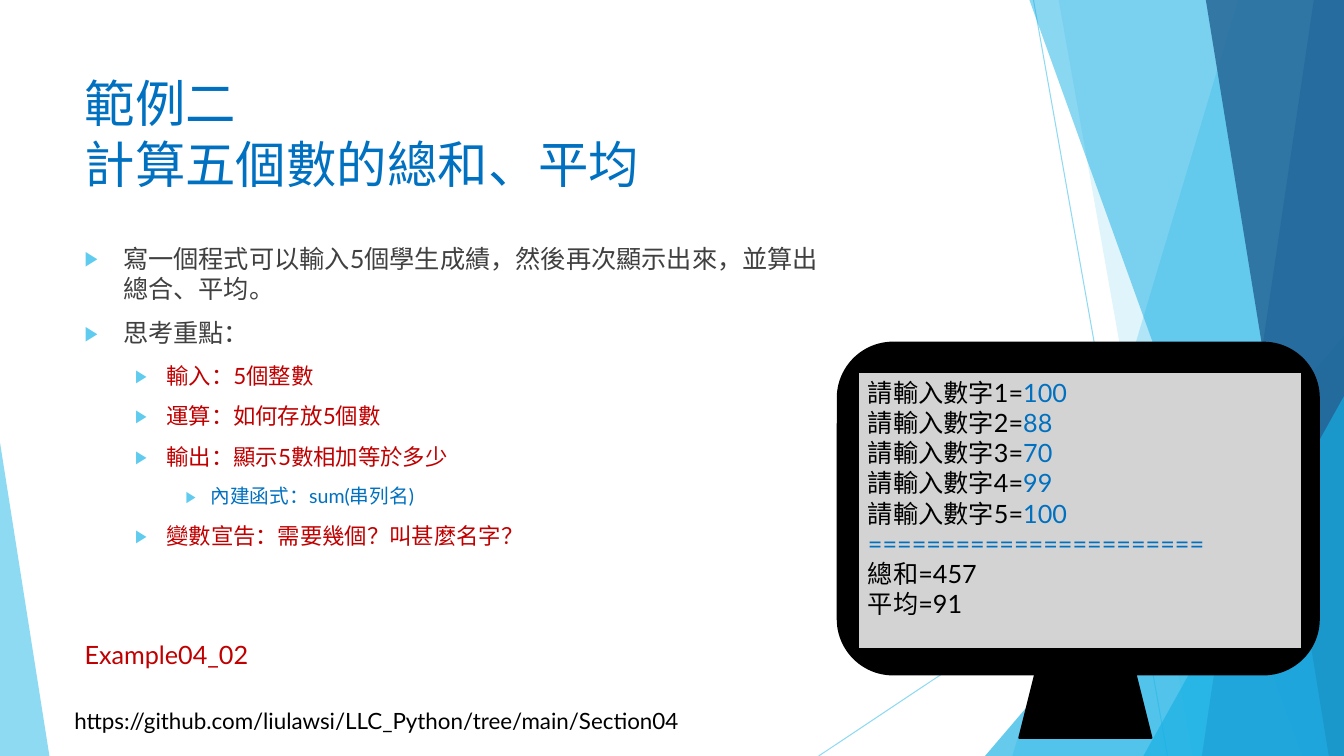
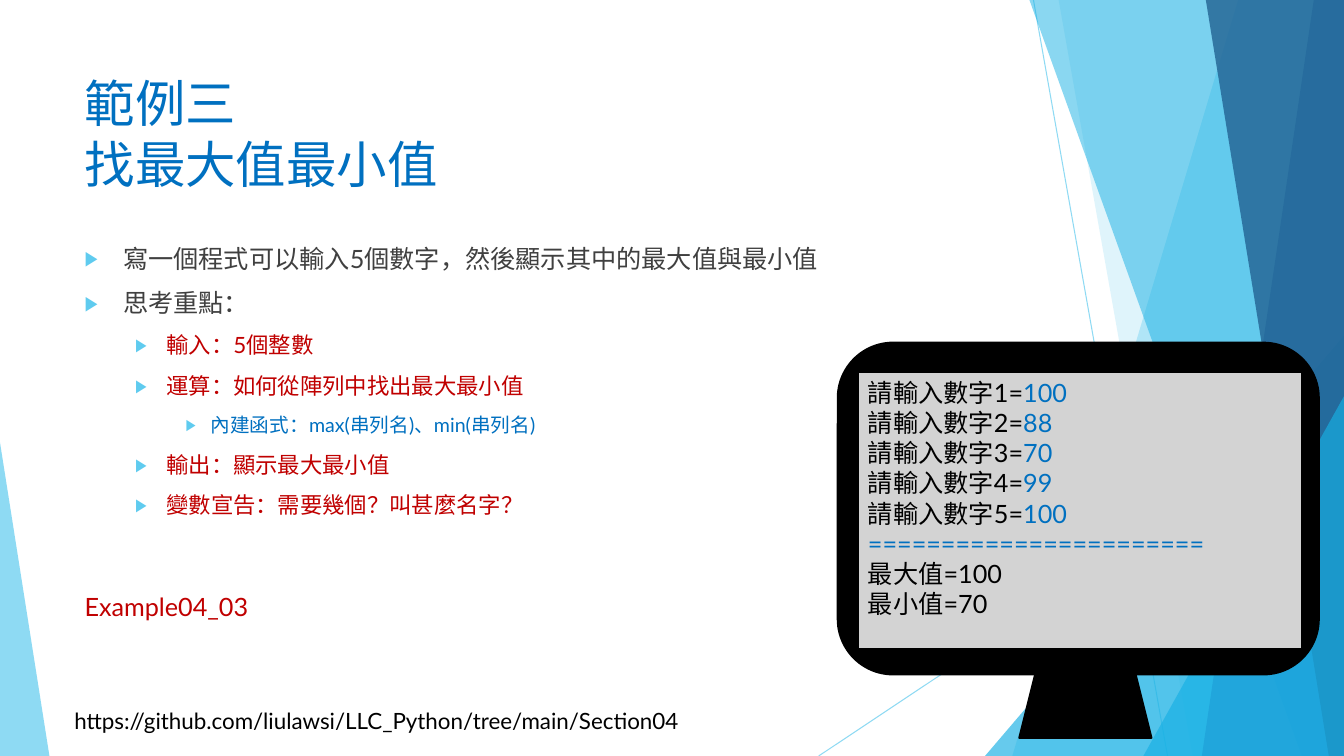
from dataclasses import dataclass

from lxml.etree import SubElement
from pptx import Presentation
from pptx.dml.color import RGBColor as Color
from pptx.enum.shapes import MSO_CONNECTOR as Connector, MSO_SHAPE as Preset
from pptx.enum.text import MSO_ANCHOR as Anchor, MSO_AUTO_SIZE as AutoSize, PP_ALIGN as Align
from pptx.oxml.ns import qn
from pptx.util import Inches, Pt

WIDTH, HEIGHT = 13.33, 7.5
REPOSITORY = "https://github.com/liulawsi/LLC_Python/tree/main/Section04"


@dataclass(frozen=True)
class Theme:
    font: str = "Lato"
    black: str = "000000"
    text: str = "404040"
    blue: str = "0070C0"
    red: str = "C00000"
    screen: str = "D3D3D3"
    sky: str = "5FCBEF"
    cyan: str = "17B0E4"
    steel: str = "2E83C3"
    navy: str = "226292"
    title_size: int = 36
    main_size: int = 18
    link_size: int = 16
    bullet_gap: int = 10

    @property
    def levels(self):
        return (
            (0.38, 0.38, self.main_size, self.text),
            (0.81, 0.31, 16, self.red),
            (1.25, 0.25, 14, self.blue),
        )


class Deck:
    def __init__(self, theme):
        self.theme = theme
        self.presentation = Presentation()
        self.presentation.slide_width = Inches(WIDTH)
        self.presentation.slide_height = Inches(HEIGHT)
        self.slide = None

    def new_slide(self):
        layout = self.presentation.slide_layouts[1]
        self.slide = self.presentation.slides.add_slide(layout)
        self.facets()
        self.label(REPOSITORY, (0.64, 6.97, 7.54, 0.37), self.theme.link_size, self.theme.black)

    def format_run(self, run, size, color):
        run.font.name = self.theme.font
        run.font.size = Pt(size)
        run.font.color.rgb = Color.from_string(color)
        SubElement(run.font._element, qn("a:ea"), typeface=self.theme.font)

    def place(self, shape, box):
        shape.left, shape.top, shape.width, shape.height = map(Inches, box)

    def set_alpha(self, shape, percent):
        for color in shape._element.iter(qn("a:srgbClr")):
            SubElement(color, qn("a:alpha"), val=str(percent * 1000))

    def paint(self, shape, fill, outline=None, alpha=None):
        shape.shadow.inherit = False
        shape.fill.solid()
        shape.fill.fore_color.rgb = Color.from_string(fill)
        if outline:
            shape.line.color.rgb = Color.from_string(outline)
            shape.line.width = Pt(1.5)
        else:
            shape.line.fill.background()
        if alpha:
            self.set_alpha(shape, alpha)

    def hairline(self, group, start, end):
        ends = map(Inches, (*start, *end))
        line = group.shapes.add_connector(Connector.STRAIGHT, *ends)
        line.line.color.rgb = Color.from_string(self.theme.sky)
        line.line.width = Pt(0.75)
        SubElement(line._element.spPr, qn("a:effectLst"))
        self.set_alpha(line, 70)

    def band(self, group, top_left, bottom_left, color, alpha):
        builder = group.shapes.build_freeform(Inches(top_left), 0)
        corners = ((WIDTH, 0), (WIDTH, HEIGHT), (bottom_left, HEIGHT))
        builder.add_line_segments([(Inches(x), Inches(y)) for x, y in corners])
        self.paint(builder.convert_to_shape(), color, alpha=alpha)

    def wedge(self, group, left, top, width, apex, color, alpha):
        box = map(Inches, (left, top, width, HEIGHT - top))
        triangle = group.shapes.add_shape(Preset.ISOSCELES_TRIANGLE, *box)
        triangle.adjustments[0] = apex
        self.paint(triangle, color, alpha=alpha)

    def facets(self):
        theme = self.theme
        group = self.slide.shapes.add_group_shape()
        self.hairline(group, (10.25, 0), (11.58, HEIGHT))
        self.hairline(group, (WIDTH, 4.03), (8.12, HEIGHT))
        self.band(group, 12.28, 10.04, theme.sky, 36)
        self.band(group, 10.5, 11.83, theme.sky, 20)
        self.wedge(group, 9.77, 3.33, 3.56, 1, theme.cyan, 66)
        self.band(group, 10.21, 12.91, theme.cyan, 50)
        self.band(group, 13.03, 11.92, theme.steel, 70)
        self.band(group, 11.96, 13.18, theme.navy, 80)
        self.wedge(group, 11.34, 3.93, 1.99, 1, theme.cyan, 66)
        self.wedge(group, 0, 4.39, 0.49, 0, theme.sky, 70)
        self.slide.shapes._spTree.insert(2, group._element)

    def title(self, text):
        title = self.slide.shapes.title
        self.place(title, (0.74, 0.67, 9.4, 1.44))
        frame = title.text_frame
        frame.auto_size = AutoSize.NONE
        frame.vertical_anchor = Anchor.TOP
        paragraph = frame.paragraphs[0]
        paragraph.text = text
        paragraph.alignment = Align.LEFT
        for run in paragraph.runs:
            self.format_run(run, self.theme.title_size, self.theme.blue)
        for line_break in paragraph._p.findall(qn("a:br")):
            SubElement(line_break, qn("a:rPr"), sz=str(self.theme.title_size * 100))

    def bullet(self, paragraph, margin, hanging):
        properties = paragraph._p.get_or_add_pPr()
        properties.set("marL", str(Inches(margin)))
        properties.set("indent", str(-Inches(hanging)))
        color = SubElement(properties, qn("a:buClr"))
        SubElement(color, qn("a:srgbClr"), val=self.theme.sky)
        SubElement(properties, qn("a:buSzPct"), val="80000")
        SubElement(properties, qn("a:buFont"), typeface=self.theme.font)
        SubElement(properties, qn("a:buChar"), char="▶")

    def body(self, items, width):
        body = self.slide.placeholders[1]
        self.place(body, (0.74, 2.36, width, 4.24))
        frame = body.text_frame
        frame.text = "\n".join(text for _, text in items)
        frame.auto_size = AutoSize.NONE
        frame.vertical_anchor = Anchor.TOP
        for index, (paragraph, (level, _)) in enumerate(zip(frame.paragraphs, items)):
            margin, hanging, size, color = self.theme.levels[level]
            paragraph.level = level
            self.bullet(paragraph, margin, hanging)
            paragraph.space_before = Pt(self.theme.bullet_gap if index else 0)
            self.format_run(paragraph.runs[0], size, color)

    def label(self, text, box, size, color, wrap=True):
        label = self.slide.shapes.add_textbox(*map(Inches, box))
        frame = label.text_frame
        frame.text = text
        frame.word_wrap = wrap
        frame.auto_size = AutoSize.SHAPE_TO_FIT_TEXT
        self.format_run(frame.paragraphs[0].runs[0], size, color)

    def example_name(self, text, top):
        self.label(text, (0.74, top, 1.83, 0.4), self.theme.main_size, self.theme.red, wrap=False)

    def monitor(self, lines):
        theme = self.theme
        group = self.slide.shapes.add_group_shape()
        parts = (
            (Preset.ROUNDED_RECTANGLE, (8.31, 3.4, 4.77, 3.29), theme.black),
            (Preset.TRAPEZOID, (10.11, 6.69, 1.31, 0.63), theme.black),
            (Preset.RECTANGLE, (8.51, 3.69, 4.4, 2.75), theme.screen),
        )
        for preset, box, fill in parts:
            part = group.shapes.add_shape(preset, *map(Inches, box))
            self.paint(part, fill, theme.black)
        frame = part.text_frame
        frame.word_wrap = True
        frame.vertical_anchor = Anchor.TOP
        for index, (prompt, value) in enumerate(lines):
            paragraph = frame.add_paragraph() if index else frame.paragraphs[0]
            paragraph.alignment = Align.LEFT
            for text, color in ((prompt, theme.black), (value, theme.blue)):
                if text:
                    run = paragraph.add_run()
                    run.text = text
                    self.format_run(run, theme.main_size, color)


def screen_lines(*results):
    scores = (100, 88, 70, 99, 100)
    prompts = [(f"請輸入數字{number}=", str(score)) for number, score in enumerate(scores, 1)]
    return [*prompts, ("", "=" * 23), *((result, "") for result in results)]


def main():
    deck = Deck(Theme())

    deck.new_slide()
    deck.title("範例二\n計算五個數的總和、平均")
    deck.body([
        (0, "寫一個程式可以輸入5個學生成績，然後再次顯示出來，並算出總合、平均。"),
        (0, "思考重點："),
        (1, "輸入：5個整數"),
        (1, "運算：如何存放5個數"),
        (1, "輸出：顯示5數相加等於多少"),
        (2, "內建函式：sum(串列名)"),
        (1, "變數宣告：需要幾個？叫甚麼名字？"),
    ], 7.72)
    deck.monitor(screen_lines("總和=457", "平均=91"))
    deck.example_name("Example04_02", 6.29)

    deck.new_slide()
    deck.title("範例三\n找最大值最小值")
    deck.body([
        (0, "寫一個程式可以輸入5個數字，然後顯示其中的最大值與最小值"),
        (0, "思考重點："),
        (1, "輸入：5個整數"),
        (1, "運算：如何從陣列中找出最大最小值"),
        (2, "內建函式：max(串列名)、min(串列名)"),
        (1, "輸出：顯示最大最小值"),
        (1, "變數宣告：需要幾個？叫甚麼名字？"),
    ], 9.4)
    deck.monitor(screen_lines("最大值=100", "最小值=70"))
    deck.example_name("Example04_03", 5.82)

    deck.presentation.save("out.pptx")


if __name__ == "__main__":
    main()
